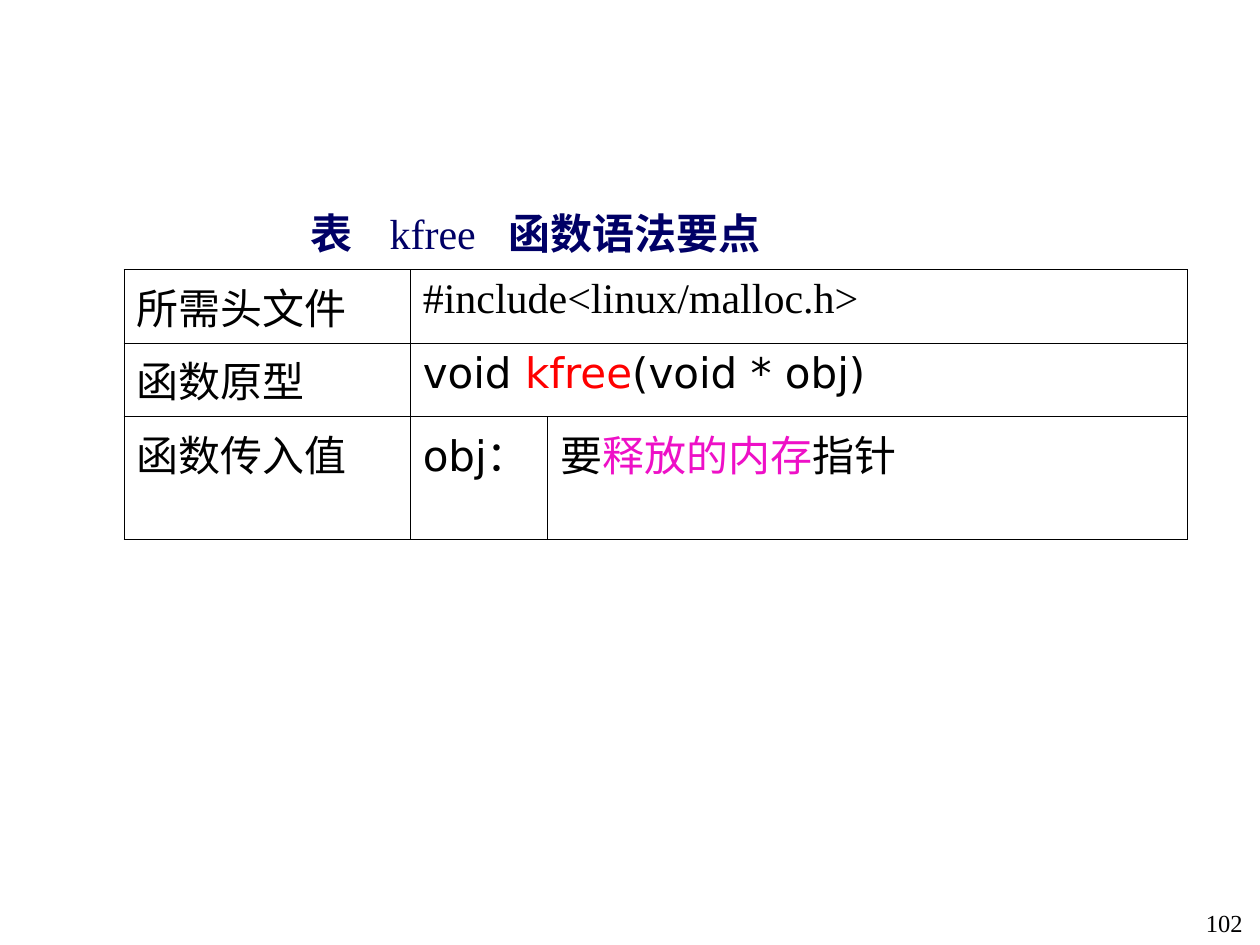
from lxml import etree
from pptx import Presentation
from pptx.dml.color import RGBColor
from pptx.enum import text
from pptx.oxml import ns
from pptx.util import Cm, Pt

SERIF, SANS = "Times New Roman", "DejaVu Sans"
BLACK, NAVY, RED, MAGENTA = "000000", "000066", "FF0000", "EE10C7"

# Content: runs are (text, colour) or, in the title, (text, bold)
TITLE = [("表\t", True), ("kfree\t", False), ("函数语法要点", True)]
TITLE_TABS = [1.6, 4.0]
PAGE_NUMBER = "102"
COLUMNS = [5.77, 2.77, 12.9]
ROWS = [  # height, cells as (font, runs)
    (1.32, [(SERIF, [("所需头文件", BLACK)]),
            (SERIF, [("#include<linux/malloc.h>", BLACK)])]),
    (1.4, [(SERIF, [("函数原型", BLACK)]),
           (SANS, [("void ", BLACK), ("kfree", RED), ("(void * obj)", BLACK)])]),
    (1.4, [(SERIF, [("函数传入值", BLACK)]),
           (SANS, [("obj：", BLACK)]),
           (SANS, [("要", BLACK), ("释放的内存", MAGENTA), ("指针", BLACK)])]),
]


def colour(value):
    return RGBColor.from_string(value)


def set_font(paragraph, name, size, value):
    paragraph.font.name = name
    paragraph.font.size = Pt(size)
    paragraph.font.color.rgb = colour(value)


def add_borders(cell):
    properties = cell._tc.get_or_add_tcPr()
    for side in ("lnL", "lnR", "lnT", "lnB"):
        line = etree.SubElement(properties, ns.qn("a:" + side), w=str(Pt(0.45)))
        fill = etree.SubElement(line, ns.qn("a:solidFill"))
        etree.SubElement(fill, ns.qn("a:srgbClr"), val=BLACK)


def fill_cell(cell, font, runs):
    paragraph = cell.text_frame.paragraphs[0]
    properties = paragraph._p.get_or_add_pPr()
    properties.set("marL", str(Cm(0.95)))
    properties.set("indent", str(-Cm(0.95)))
    set_font(paragraph, font, 24, BLACK)
    for words, value in runs:
        run = paragraph.add_run()
        run.text = words
        if value != BLACK:
            run.font.color.rgb = colour(value)


presentation = Presentation()
presentation.slide_width, presentation.slide_height = Cm(25.4), Cm(19.05)
slide = presentation.slides.add_slide(presentation.slide_layouts[5])

# Title above the table
title = slide.shapes.title
title.left, title.top, title.width, title.height = Cm(6), Cm(4.06), Cm(9.8), Cm(1.27)
frame = title.text_frame
frame.auto_size = text.MSO_AUTO_SIZE.NONE
frame.vertical_anchor = text.MSO_ANCHOR.TOP
paragraph = frame.paragraphs[0]
paragraph.alignment = text.PP_ALIGN.LEFT
tabs = etree.SubElement(paragraph._p.get_or_add_pPr(), ns.qn("a:tabLst"))
for position in TITLE_TABS:
    etree.SubElement(tabs, ns.qn("a:tab"), pos=str(Cm(position)), algn="l")
set_font(paragraph, SERIF, 24, NAVY)
for words, bold in TITLE:
    run = paragraph.add_run()
    run.text = words
    run.font.bold = bold

# Function table; a row with two cells spans the last two columns
table = slide.shapes.add_table(
    len(ROWS), len(COLUMNS), Cm(2.5), Cm(5.43),
    Cm(sum(COLUMNS)), Cm(sum(height for height, _ in ROWS))).table
table.first_row = table.horz_banding = False
for column, width in zip(table.columns, COLUMNS):
    column.width = Cm(width)
for index, (height, cells) in enumerate(ROWS):
    table.rows[index].height = Cm(height)
    if len(cells) < len(COLUMNS):
        table.cell(index, 1).merge(table.cell(index, 2))
    for position, (font, runs) in enumerate(cells):
        fill_cell(table.cell(index, position), font, runs)
for cell in table.iter_cells():
    add_borders(cell)
    cell.fill.background()

# Page number
number = slide.shapes.add_textbox(Cm(23.37), Cm(18.19), Cm(1.93), Cm(0.86))
number.text_frame.word_wrap = True
paragraph = number.text_frame.paragraphs[0]
paragraph.text = PAGE_NUMBER
paragraph.alignment = text.PP_ALIGN.RIGHT
set_font(paragraph, SERIF, 14, "010000")

presentation.save("out.pptx")
